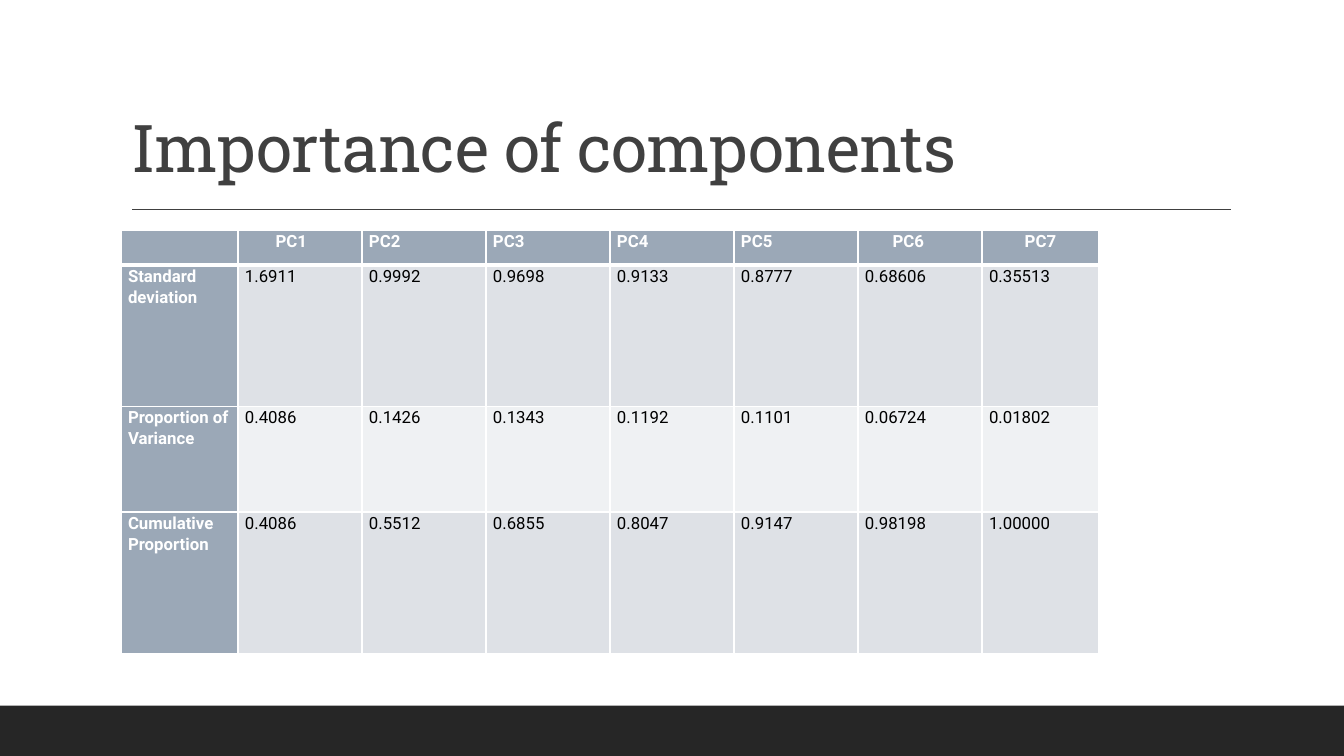
"""Build the slide with the table of principal component importance."""
from lxml.etree import SubElement
from pptx import Presentation
from pptx.dml.color import RGBColor
from pptx.enum.shapes import MSO_CONNECTOR as Connector, MSO_SHAPE as Shape
from pptx.enum.text import MSO_ANCHOR as Anchor, MSO_AUTO_SIZE as AutoSize, PP_ALIGN as Align
from pptx.oxml.ns import qn
from pptx.util import Inches, Pt

WHITE = RGBColor(0xFF, 0xFF, 0xFF)
BLACK = RGBColor(0x00, 0x00, 0x00)
FOOTER = RGBColor(0x26, 0x26, 0x26)
CHARCOAL = RGBColor(0x40, 0x40, 0x40)
SLATE = RGBColor(0x9B, 0xA8, 0xB7)
BANDS = [RGBColor(0xEF, 0xF1, 0xF3), RGBColor(0xDE, 0xE1, 0xE6)]

ROWS = [
    ["", "PC1", "PC2", "PC3", "PC4", "PC5", "PC6", "PC7"],
    ["Standard deviation", "1.6911", "0.9992", "0.9698", "0.9133", "0.8777", "0.68606", "0.35513"],
    ["Proportion of Variance", "0.4086", "0.1426", "0.1343", "0.1192", "0.1101", "0.06724", "0.01802"],
    ["Cumulative Proportion", "0.4086", "0.5512", "0.6855", "0.8047", "0.9147", "0.98198", "1.00000"],
]
COLUMN_WIDTHS = [1.16] + [1.23] * 6 + [1.16]
ROW_HEIGHTS = [0.34, 1.4, 1.05, 1.4]
CENTRED_RIGHT_INSETS = {"PC1": 0.24, "PC6": 0.3, "PC7": 0.07}


def add_run(para, text, font_name, size, color, bold=False):
    span = para.add_run()
    span.text = text
    span.font.name = font_name
    span.font.size = Pt(size)
    span.font.bold = bold
    span.font.color.rgb = color
    return span


def add_border(cell, side, points):
    line = SubElement(cell._tc.get_or_add_tcPr(), qn(f"a:{side}"), w=str(Pt(points)))
    fill = SubElement(line, qn("a:solidFill"))
    SubElement(fill, qn("a:srgbClr"), val=str(WHITE))


deck = Presentation()
deck.slide_width = Inches(13.33)
deck.slide_height = Inches(7.5)
page = deck.slides.add_slide(deck.slide_layouts[5])

footer = page.shapes.add_shape(Shape.RECTANGLE, 0, Inches(7), deck.slide_width, Inches(0.5))
footer.shadow.inherit = False
footer.fill.solid()
footer.fill.fore_color.rgb = FOOTER
footer.line.fill.background()

rule = page.shapes.add_connector(
    Connector.STRAIGHT, Inches(1.31), Inches(2.08), Inches(12.21), Inches(2.08))
rule.line.color.rgb = CHARCOAL
rule.line.width = Pt(1)
SubElement(rule._element.spPr, qn("a:effectLst"))

title = page.shapes.title
title.left, title.top, title.width, title.height = map(Inches, (1.2, 0.31, 11, 1.59))
box = title.text_frame
box.word_wrap = True
box.auto_size = AutoSize.NONE
box.vertical_anchor = Anchor.BOTTOM
para = box.paragraphs[0]
para.alignment = Align.LEFT
para.line_spacing = 0.9
span = add_run(para, "Importance of components", "Roboto Slab", 47, CHARCOAL)
span.font._element.set("spc", "-50")

table = page.shapes.add_table(
    len(ROWS), len(COLUMN_WIDTHS), Inches(1.2), Inches(2.29),
    Inches(sum(COLUMN_WIDTHS)), Inches(sum(ROW_HEIGHTS))).table
for column, width in zip(table.columns, COLUMN_WIDTHS):
    column.width = Inches(width)
for row, height in zip(table.rows, ROW_HEIGHTS):
    row.height = Inches(height)

for row_index, texts in enumerate(ROWS):
    for column_index, text in enumerate(texts):
        cell = table.cell(row_index, column_index)
        is_header = row_index == 0 or column_index == 0
        cell.margin_left = Inches(0.07)
        cell.margin_right = Inches(CENTRED_RIGHT_INSETS.get(text, 0.07))
        cell.margin_top = cell.margin_bottom = 0
        for side in ("lnL", "lnR"):
            add_border(cell, side, 1)
        add_border(cell, "lnT", 3 if row_index == 1 else 1)
        add_border(cell, "lnB", 3 if row_index == 0 else 1)
        cell.fill.solid()
        cell.fill.fore_color.rgb = SLATE if is_header else BANDS[row_index % 2]
        para = cell.text_frame.paragraphs[0]
        para.alignment = Align.CENTER if text in CENTRED_RIGHT_INSETS else Align.LEFT
        para.line_spacing = 1.07
        para.space_after = Pt(8)
        if text:
            add_run(para, text, "Roboto", 12, WHITE if is_header else BLACK, is_header)

deck.save("out.pptx")
